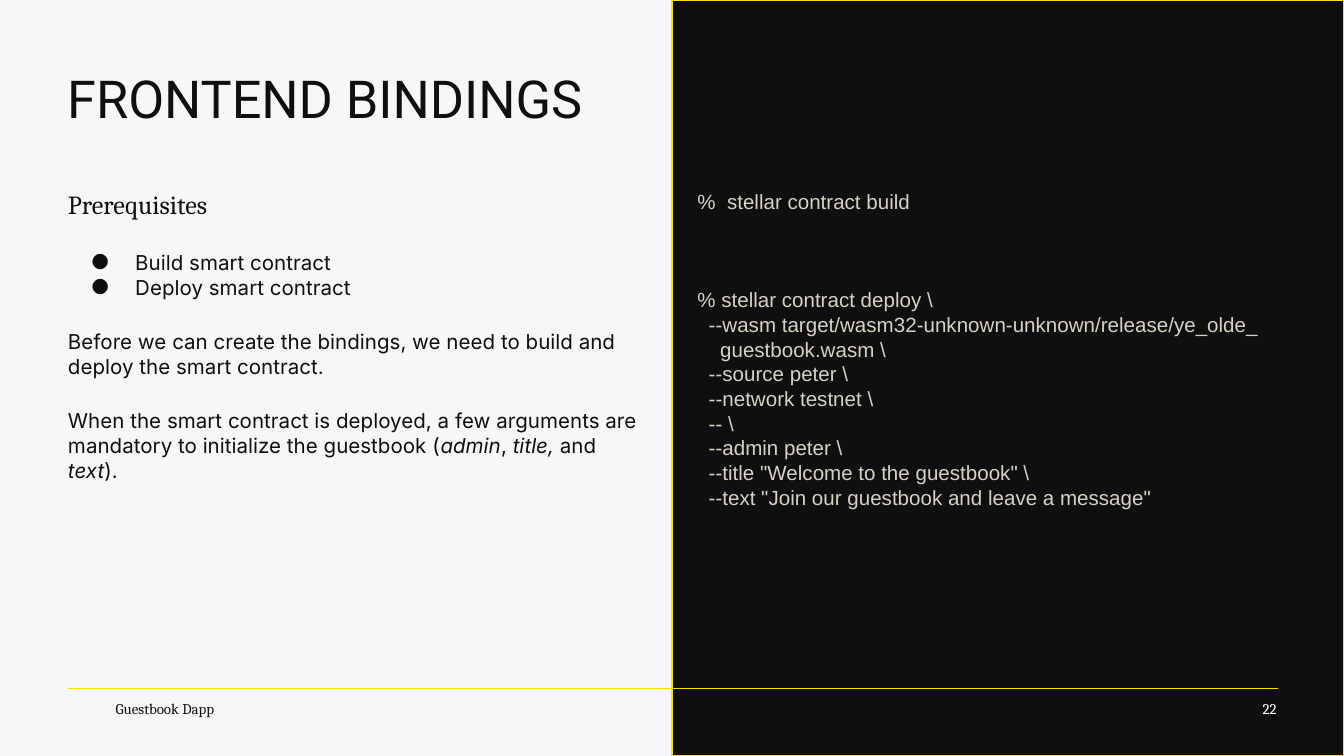
from lxml import etree
from pptx import Presentation
from pptx import util as u
from pptx.dml.color import RGBColor
from pptx.enum import shapes, text
from pptx.oxml import ns

WIDTH = u.Inches(10)
HEIGHT = WIDTH * 9 // 16
PAPER = RGBColor(0xF6, 0xF7, 0xF8)
INK = RGBColor(0x0F, 0x0F, 0x0F)
GOLD = RGBColor(0xFD, 0xDA, 0x24)
RULE_GOLD = RGBColor(0xFF, 0xDA, 0x00)
SAND = RGBColor(0xD6, 0xD2, 0xC4)
WHITE = RGBColor(0xFF, 0xFF, 0xFF)

TOP, MIDDLE = text.MSO_ANCHOR.TOP, text.MSO_ANCHOR.MIDDLE
PADDING = u.Inches(0.1)
MARGIN = 0.0506

REQUIREMENTS = ["Build smart contract", "Deploy smart contract"]
PURPOSE = "Before we can create the bindings, we need to build and deploy the smart contract."
ARGUMENTS = [
    ("When the smart contract is deployed, a few arguments are mandatory "
     "to initialize the guestbook (", False),
    ("admin", True), (", ", False), ("title,", True),
    (" and ", False), ("text", True), (").", False),
]
BUILD = "%  stellar contract build"
DEPLOY = [
    "% stellar contract deploy \\",
    "  --wasm target/wasm32-unknown-unknown/release/ye_olde_\v    guestbook.wasm \\",
    "  --source peter \\",
    "  --network testnet \\",
    "  -- \\\v  --admin peter \\",
    "  --title \"Welcome to the guestbook\" \\",
    "  --text \"Join our guestbook and leave a message\"",
]


def share(x, y, w, h):
    return int(x * WIDTH), int(y * HEIGHT), int(w * WIDTH), int(h * HEIGHT)


def set_frame(frame, anchor=TOP, left=0, top=0, right=0, bottom=0):
    frame.word_wrap = True
    frame.vertical_anchor = anchor
    frame.margin_left, frame.margin_right = left, right
    frame.margin_top, frame.margin_bottom = top, bottom


def add_frame(slide, area, **settings):
    frame = slide.shapes.add_textbox(*share(*area)).text_frame
    set_frame(frame, **settings)
    return frame


def style(paragraph, font, size, color):
    for run in paragraph.runs:
        run.font.name, run.font.size = font, u.Pt(size)
        run.font.color.rgb = color


def write(paragraph, words, font, size, color, before=0):
    paragraph.text = words
    paragraph.space_before = u.Pt(before)
    style(paragraph, font, size, color)


def add_bullet(paragraph):
    properties = paragraph._p.get_or_add_pPr()
    properties.set("marL", str(u.Inches(0.5)))
    properties.set("indent", str(u.Inches(-0.33)))
    bullet_color = etree.SubElement(properties, ns.qn("a:buClr"))
    etree.SubElement(bullet_color, ns.qn("a:srgbClr"), val=str(INK))
    etree.SubElement(properties, ns.qn("a:buSzPts"), val="1100")
    etree.SubElement(properties, ns.qn("a:buFont"), typeface="Inter")
    etree.SubElement(properties, ns.qn("a:buChar"), char="●")


def add_title(slide):
    title = slide.shapes.title
    title.left, title.top, title.width, title.height = share(0.05, 0.087, 0.9, 0.084)
    set_frame(title.text_frame)
    heading = title.text_frame.paragraphs[0]
    write(heading, "FRONTEND BINDINGS", "Roboto", 28, INK)
    heading.alignment = text.PP_ALIGN.LEFT


def add_code_panel(slide):
    panel = slide.shapes.add_shape(shapes.MSO_SHAPE.RECTANGLE, *share(0.5, 0, 0.5, 1))
    panel.shadow.inherit = False
    panel.fill.solid()
    panel.fill.fore_color.rgb = INK
    panel.line.color.rgb = GOLD
    panel.line.width = u.Pt(0.75)


def add_footer(slide):
    x, y, w, _ = share(MARGIN, 0.911, 0.9, 0)
    rule = slide.shapes.add_connector(shapes.MSO_CONNECTOR.STRAIGHT, x, y, x + w, y)
    rule.line.color.rgb = RULE_GOLD
    rule.line.width = u.Pt(0.75)
    etree.SubElement(rule._element.spPr, ns.qn("a:effectLst"))

    deck_name = add_frame(slide, (0.086, 0.913, 0.235, 0.048), anchor=MIDDLE)
    write(deck_name.paragraphs[0], "Guestbook Dapp", "Cambria", 8, INK)

    page = add_frame(slide, (0.89, 0.907, 0.06, 0.06), anchor=MIDDLE,
                     top=PADDING, bottom=PADDING)
    write(page.paragraphs[0], "22", "Cambria", 8, WHITE)
    page.paragraphs[0].alignment = text.PP_ALIGN.RIGHT


def add_prerequisites(slide):
    body = add_frame(slide, (MARGIN, 0.232, 0.439, 0.429),
                     top=PADDING, right=PADDING, bottom=PADDING)
    write(body.paragraphs[0], "Prerequisites", "Cambria", 14, INK)
    for index, requirement in enumerate(REQUIREMENTS):
        item = body.add_paragraph()
        add_bullet(item)
        item.font.size = u.Pt(11)
        write(item, requirement, "Inter", 11, INK, before=0 if index else 16)
    write(body.add_paragraph(), PURPOSE, "Inter", 11, INK, before=16)

    arguments = body.add_paragraph()
    arguments.space_before = u.Pt(16)
    for words, italic in ARGUMENTS:
        run = arguments.add_run()
        run.text = words
        run.font.italic = italic
    style(arguments, "Inter", 11, INK)


def add_commands(slide):
    line_height = 13.2
    code = add_frame(slide, (0.509, 0.232, 0.491, 0.496), left=PADDING,
                     top=PADDING, right=PADDING, bottom=PADDING)
    write(code.paragraphs[0], BUILD, "Arial", 11, SAND)
    for index, line in enumerate(DEPLOY):
        gap = 0 if index else 3 * line_height
        write(code.add_paragraph(), line, "Arial", 11, SAND, before=gap)
    for paragraph in code.paragraphs:
        paragraph.line_spacing = u.Pt(line_height)


def main():
    deck = Presentation()
    deck.slide_width, deck.slide_height = WIDTH, HEIGHT
    slide = deck.slides.add_slide(deck.slide_layouts[5])
    slide.background.fill.solid()
    slide.background.fill.fore_color.rgb = PAPER
    add_code_panel(slide)
    add_title(slide)
    add_footer(slide)
    add_prerequisites(slide)
    add_commands(slide)
    deck.save("out.pptx")


if __name__ == "__main__":
    main()
